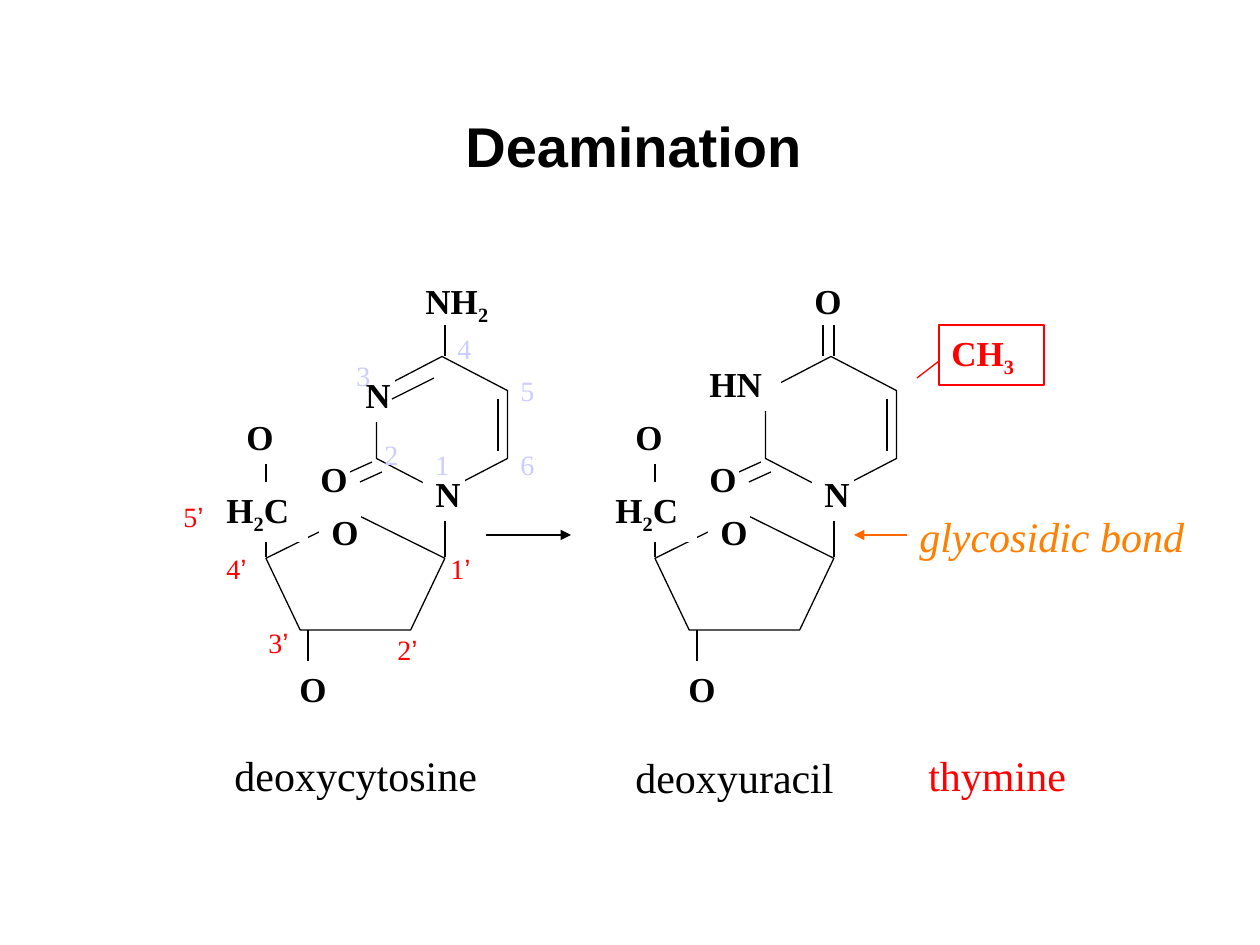
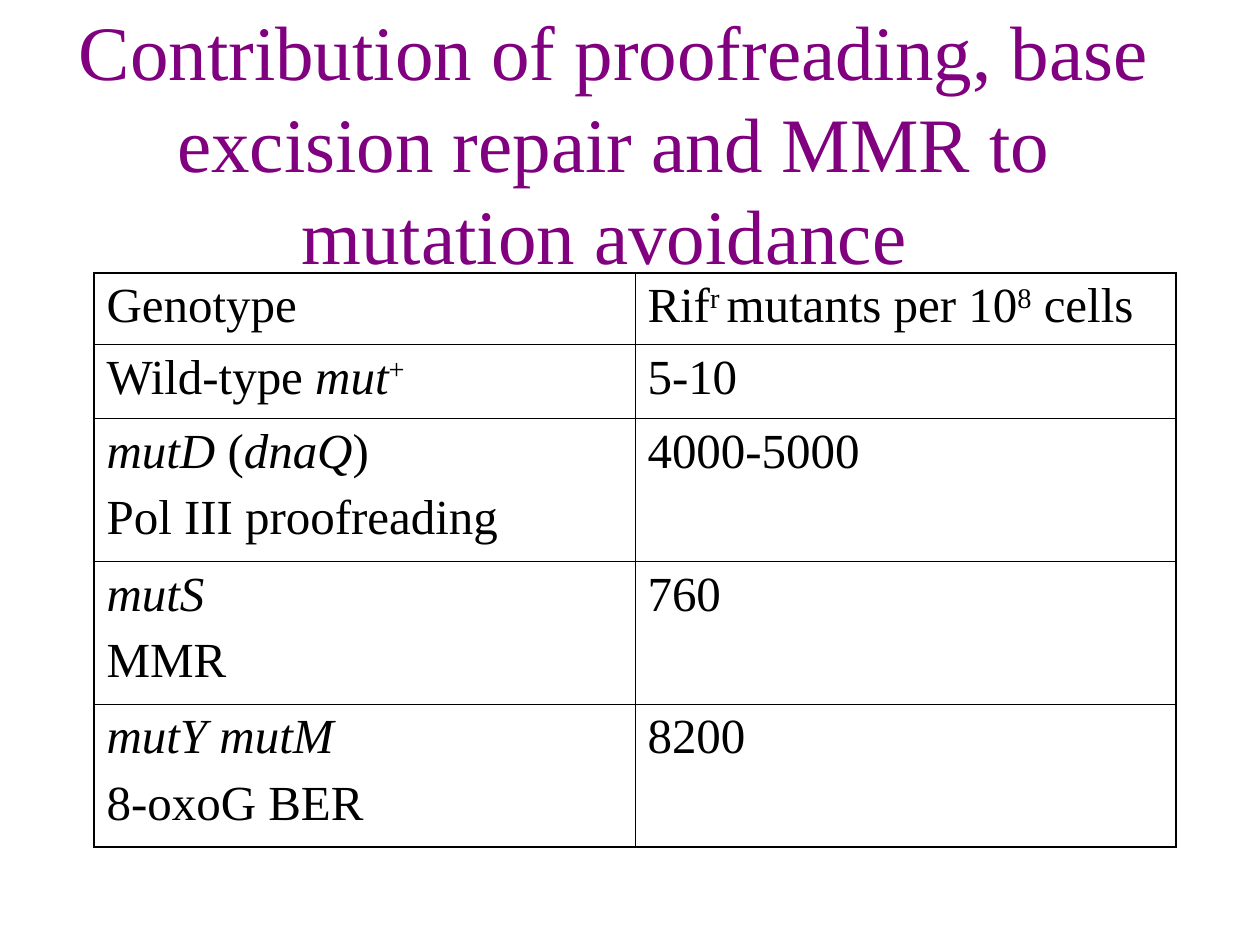
import pptx
import pptx.dml.color
import pptx.enum.shapes
import pptx.enum.text
import pptx.oxml
import pptx.oxml.ns
import pptx.util

PX = 914400 / 126
COLORS = {
    "ink": "000000",
    "paper": "FFFFFF",
    "sugar": "FF0000",
    "ring": "CCCCFF",
    "arrow": "FF6600",
    "bond": "FF8000",
    "title": "800080",
}
SERIF, SANS = "Times New Roman", "Arial"
SUB, SUPER = -25000, 30000
THIN, OUTER, INNER = 0.75, 1.08, 0.45
SHAPES = pptx.enum.shapes.MSO_SHAPE
PITCH = 389  # distance between the two nucleosides
ATOM = (42, 55)


def px(*lengths):
    return [pptx.util.Emu(round(length * PX)) for length in lengths]


def rgb(name):
    return pptx.dml.color.RGBColor.from_string(COLORS[name])


def add_span(para, text, size, color="ink", font=SERIF, bold=False, italic=False, baseline=0):
    span = para.add_run()
    span.text = text
    span.font.size = pptx.util.Pt(size)
    span.font.name = font
    span.font.bold = bold
    span.font.italic = italic
    span.font.color.rgb = rgb(color)
    if baseline:
        span.font._element.set("baseline", str(baseline))


def add_text(page, x, y, width, height, text, size, wrap=True, **style):
    box = page.shapes.add_textbox(*px(x, y, width, height))
    box.text_frame.word_wrap = wrap
    if not wrap:
        box.text_frame.auto_size = pptx.enum.text.MSO_AUTO_SIZE.SHAPE_TO_FIT_TEXT
    add_span(box.text_frame.paragraphs[0], text, size, **style)
    return box


def add_line(page, x1, y1, x2, y2, color="ink", arrow=False):
    line = page.shapes.add_connector(
        pptx.enum.shapes.MSO_CONNECTOR.STRAIGHT, *px(x1, y1, x2, y2))
    line.line.color.rgb = rgb(color)
    line.line.width = pptx.util.Pt(THIN)
    properties = line._element.spPr
    if arrow:
        head = pptx.oxml.ns.qn("a:tailEnd")
        line.line._get_or_add_ln().append(
            properties.makeelement(head, {"type": "triangle"}))
    properties.append(properties.makeelement(pptx.oxml.ns.qn("a:effectLst"), {}))


def add_outline(page, kind, x, y, width, height):
    shape = page.shapes.add_shape(kind, *px(x, y, width, height))
    shape.shadow.inherit = False
    shape.fill.background()
    shape.line.color.rgb = rgb("ink")
    shape.line.width = pptx.util.Pt(THIN)
    return shape


def add_atoms(page, x, y, width, height, formula, color="ink", framed=False):
    """White box with a formula whose digits are subscripts."""
    box = page.shapes.add_shape(SHAPES.RECTANGLE, *px(x, y, width, height))
    box.shadow.inherit = False
    box.fill.solid()
    box.fill.fore_color.rgb = rgb("paper")
    if framed:
        box.line.color.rgb = rgb(color)
        box.line.width = pptx.util.Pt(THIN)
    else:
        box.line.fill.background()
    frame = box.text_frame
    frame.word_wrap = True
    frame.vertical_anchor = pptx.enum.text.MSO_ANCHOR.TOP
    para = frame.paragraphs[0]
    para.alignment = pptx.enum.text.PP_ALIGN.LEFT
    for symbol in formula:
        add_span(para, symbol, 20, color, bold=True,
                 baseline=SUB if symbol.isdigit() else 0)


def add_nucleoside(page, left, top, amine):
    """Sugar and base; with amine the base is cytosine, without it uracil."""

    def bonds(*ends):
        for x1, y1, x2, y2 in ends:
            add_line(page, left + x1, top + y1, left + x2, top + y2)

    def atoms(x, y, formula, width=ATOM[0], height=ATOM[1]):
        add_atoms(page, left + x, top + y, width, height, formula)

    add_outline(page, SHAPES.REGULAR_PENTAGON, left + 52, top + 241, 179, 116)
    ring = add_outline(page, SHAPES.HEXAGON, left + 160, top + 86, 136, 131)
    ring.rotation = 270
    ring.adjustments[0] = 0.26
    bonds((231, 220, 231, 284), (284, 126, 284, 178))
    atoms(209, 193, "N")
    if amine:
        atoms(139, 94, "N")
        atoms(199, 0, "NH2", 158, 60)
        bonds((178, 126, 220, 105))
    else:
        atoms(94, 83, "HN", 84)
        atoms(199, 0, "O", 158)
        bonds((220, 52, 220, 83))
    bonds((231, 52, 231, 83), (136, 199, 158, 189), (146, 209, 168, 199))
    atoms(94, 178, "O")
    bonds((94, 357, 94, 388))
    atoms(73, 388, "O")
    bonds((52, 284, 52, 231))
    atoms(0, 209, "H2C", 94, 60)
    bonds((52, 189, 52, 209))
    atoms(20, 136, "O")
    atoms(105, 231, "O")


def add_numbering(page, left, top):
    """Position numbers of the sugar (primed) and of the base."""
    sugar = [(224, 272), (171, 353), (42, 346), (0, 272), (-43, 220)]
    base = [(209, 168), (158, 158), (130, 79), (231, 52), (294, 94), (294, 168)]
    for number, (x, y) in enumerate(sugar, 1):
        box = add_text(page, left + x, top + y, 49, 47, str(number), 16, color="sugar")
        add_span(box.text_frame.paragraphs[0], "’", 16, "sugar", SANS)
    for number, (x, y) in enumerate(base, 1):
        add_text(page, left + x, top + y, 49, 47, str(number), 16, color="ring")


def add_thymine(page, left, top):
    """Methyl group and the name of the base it makes."""
    group = page.shapes.add_group_shape()
    add_line(group, left, top + 53, left + 22, top + 36, "sugar")
    add_atoms(group, left + 22, top, 105, 60, "CH3", "sugar", framed=True)
    add_text(group, left - 1, top + 418, 166, 63, "thymine", 24, wrap=False, color="sugar")


def build_deamination(page):
    left, top = 214, 273
    add_nucleoside(page, left, top, amine=True)
    add_line(page, 486, 535, 571, 535, arrow=True)
    add_nucleoside(page, left + PITCH, top, amine=False)
    add_text(page, 222, 743, 272, 63, "deoxycytosine", 24, wrap=False)
    add_text(page, 623, 745, 228, 63, "deoxyuracil", 24, wrap=False)
    add_numbering(page, left, top)
    add_thymine(page, 917, 325)
    add_line(page, 907, 535, 854, 535, "arrow", arrow=True)
    add_text(page, 907, 504, 292, 63, "glycosidic bond", 24, wrap=False,
             color="bond", italic=True)
    add_text(page, 453, 105, 364, 81, "Deamination", 32, wrap=False, font=SANS, bold=True)


PLAIN, ITALIC, RAISED = {}, {"italic": True}, {"baseline": SUPER}
# Each cell is a list of paragraphs, each paragraph a list of (text, style).
MUTATORS = [
    ([[("Genotype", PLAIN)]],
     [[("Rif", PLAIN), ("r ", RAISED), ("mutants per 10", PLAIN), ("8", RAISED),
       (" cells", PLAIN)]]),
    ([[("Wild-type ", PLAIN), ("mut", ITALIC), ("+", RAISED)]], [[("5-10", PLAIN)]]),
    ([[("mutD", ITALIC), (" (", PLAIN), ("dnaQ", ITALIC), (")", PLAIN)],
      [("Pol III proofreading", PLAIN)]], [[("4000-5000", PLAIN)]]),
    ([[("mutS", ITALIC)], [("MMR", PLAIN)]], [[("760", PLAIN)]]),
    ([[("mutY mutM", ITALIC)], [("8-oxoG BER", PLAIN)]], [[("8200", PLAIN)]]),
]


def set_borders(cell, widths):
    """Widths in points, in the order left, right, top, bottom."""
    properties = cell._tc.get_or_add_tcPr()
    for index, (side, width) in enumerate(zip("LRTB", widths)):
        border = pptx.oxml.parse_xml(
            f'<a:ln{side} {pptx.oxml.ns.nsdecls("a")} w="{pptx.util.Pt(width)}">'
            f'<a:solidFill><a:srgbClr val="{COLORS["ink"]}"/></a:solidFill></a:ln{side}>')
        properties.insert(index, border)


def fill_cell(cell, paragraphs):
    cell.fill.background()
    for index, spans in enumerate(paragraphs):
        if index:
            para = cell.text_frame.add_paragraph()
            para.space_before = pptx.util.Pt(7)
        else:
            para = cell.text_frame.paragraphs[0]
        for text, style in spans:
            add_span(para, text, 28, **style)


def add_mutator_table(page, left, top, width, heights):
    rows, columns = len(MUTATORS), len(MUTATORS[0])
    table = page.shapes.add_table(
        rows, columns, *px(left, top, width, sum(heights))).table
    table.first_row = table.horz_banding = False
    for row, height in zip(table.rows, heights):
        row.height = px(height)[0]
    for row, contents in enumerate(MUTATORS):
        for column, paragraphs in enumerate(contents):
            cell = table.cell(row, column)
            fill_cell(cell, paragraphs)
            at_edge = (column == 0, column == columns - 1, row == 0, row == rows - 1)
            set_borders(cell, [OUTER if edge else INNER for edge in at_edge])


def build_contribution(page):
    box = add_text(
        page, 31, 63, 1166, 158,
        "Contribution of proofreading, base excision repair and MMR to mutation avoidance ",
        44, color="title")
    box.text_frame.vertical_anchor = pptx.enum.text.MSO_ANCHOR.MIDDLE
    para = box.text_frame.paragraphs[0]
    para.alignment = pptx.enum.text.PP_ALIGN.CENTER
    para.line_spacing = pptx.util.Pt(52.6)
    add_mutator_table(page, 94, 273, 1082, [71, 74, 142, 143, 143])


def main():
    deck = pptx.Presentation()
    deck.slide_width, deck.slide_height = px(1260, 945)
    for build in (build_deamination, build_contribution):
        build(deck.slides.add_slide(deck.slide_layouts[6]))
    deck.save("out.pptx")


if __name__ == "__main__":
    main()
